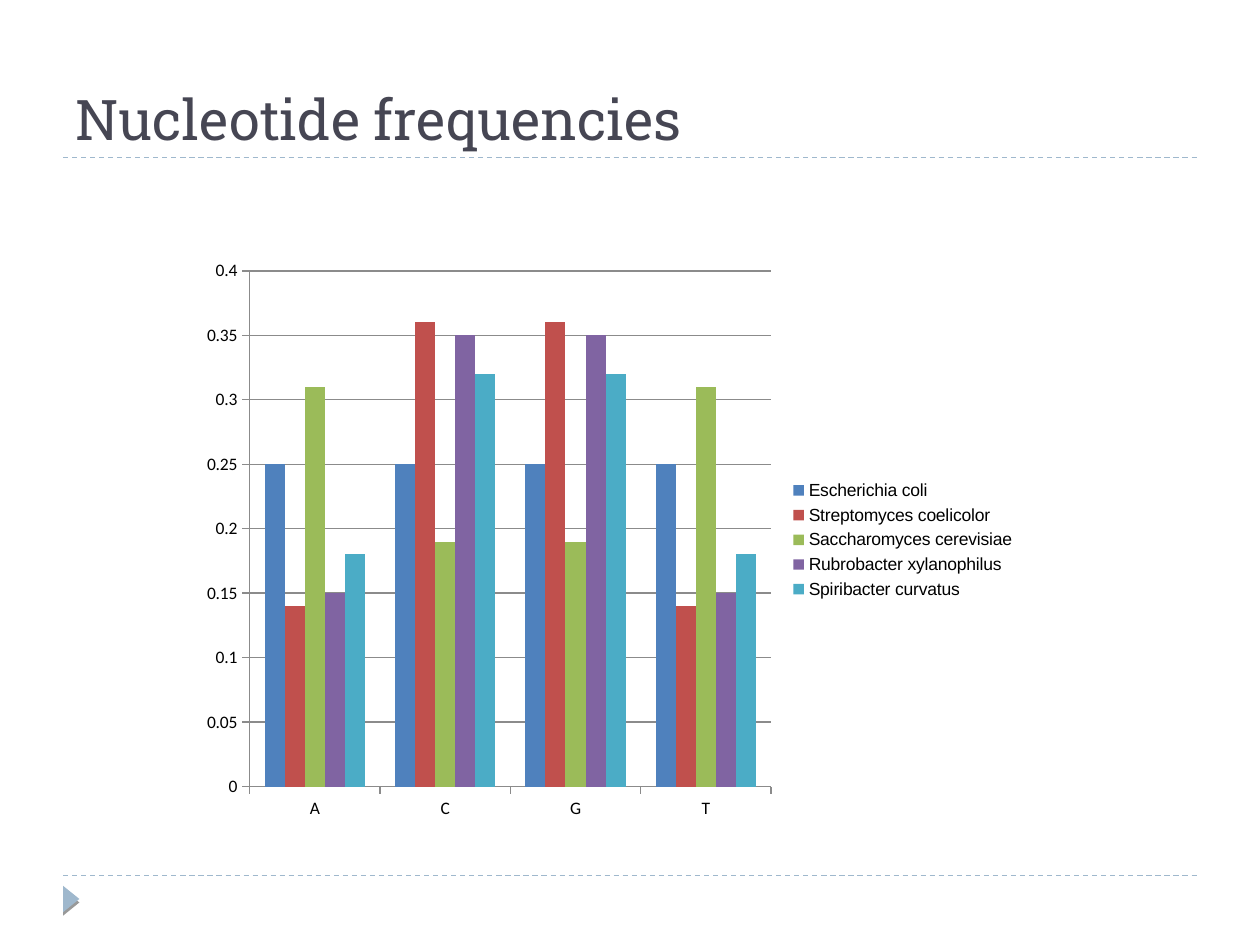
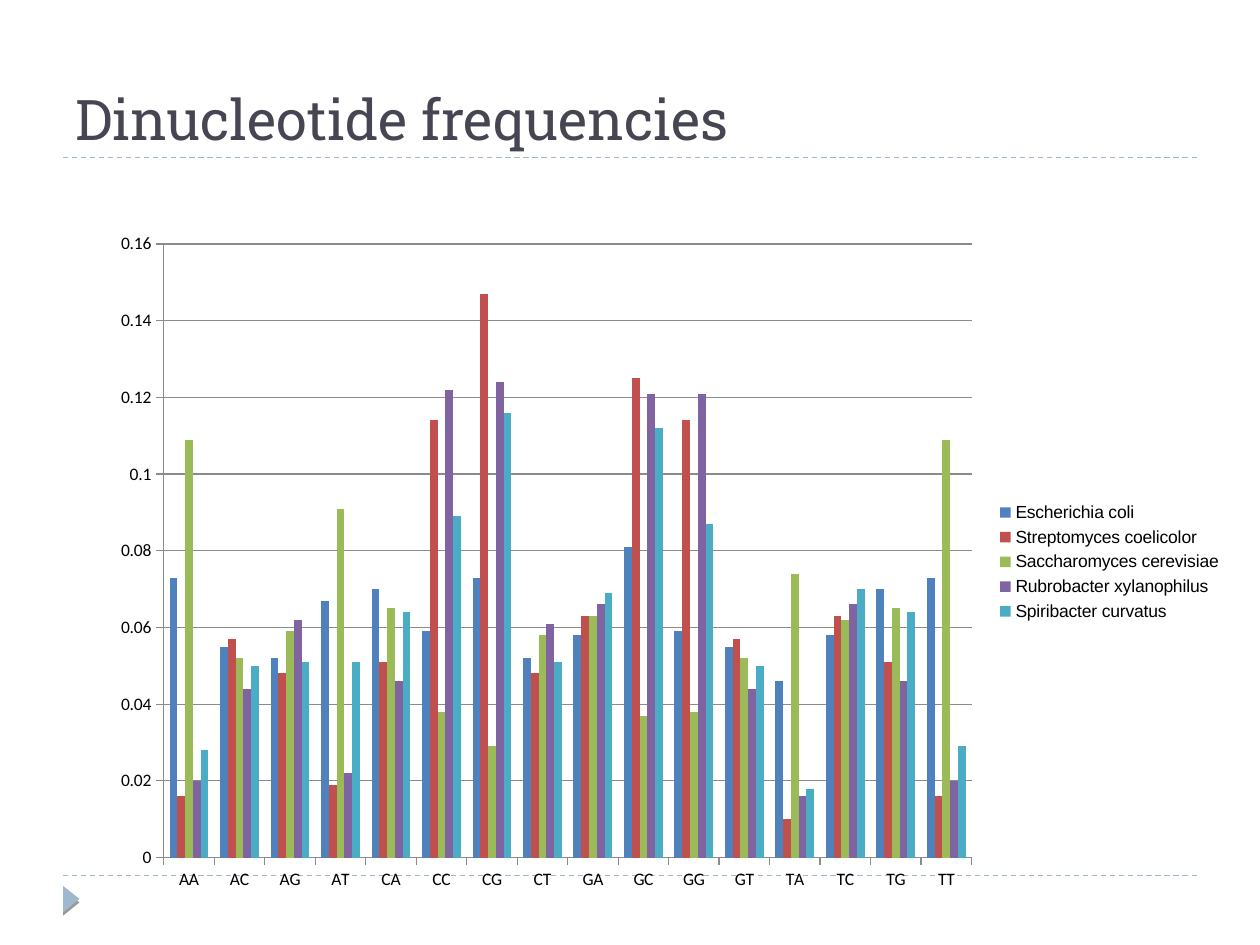
from lxml.etree import fromstring
from pptx import Presentation
from pptx.chart.data import CategoryChartData as ChartData
from pptx.dml.color import RGBColor
from pptx.enum.chart import XL_CHART_TYPE as Kind, XL_LEGEND_POSITION as Place
from pptx.enum.chart import XL_TICK_MARK as Tick
from pptx.enum.dml import MSO_LINE as Dash
from pptx.enum.shapes import MSO_CONNECTOR as Link, MSO_SHAPE as Form
from pptx.enum.text import MSO_ANCHOR as Anchor
from pptx.oxml.ns import nsdecls
from pptx.util import Inches, Pt

# The slide is a grid of 100 columns by 75 rows of square cells
COLS, ROWS = 100, 75
CELL = Inches(10) / COLS
LEFT, RIGHT, TOP, FOOT = 5, 95, 12.5, 69.5

INK, ACCENT, GREY, BLACK = "464653", "9FB8CD", "8B8B8B", "000000"
SPECIES = {
    "Escherichia coli": "4F81BD",
    "Streptomyces coelicolor": "C0504D",
    "Saccharomyces cerevisiae": "9BBB59",
    "Rubrobacter xylanophilus": "8064A2",
    "Spiribacter curvatus": "4BACC6",
}

BASES = "ACGT"
SINGLE = [
    [0.25, 0.25, 0.25, 0.25],
    [0.14, 0.36, 0.36, 0.14],
    [0.31, 0.19, 0.19, 0.31],
    [0.15, 0.35, 0.35, 0.15],
    [0.18, 0.32, 0.32, 0.18],
]
DOUBLE = [
    [0.073, 0.055, 0.052, 0.067, 0.07, 0.059, 0.073, 0.052,
     0.058, 0.081, 0.059, 0.055, 0.046, 0.058, 0.07, 0.073],
    [0.016, 0.057, 0.048, 0.019, 0.051, 0.114, 0.147, 0.048,
     0.063, 0.125, 0.114, 0.057, 0.01, 0.063, 0.051, 0.016],
    [0.109, 0.052, 0.059, 0.091, 0.065, 0.038, 0.029, 0.058,
     0.063, 0.037, 0.038, 0.052, 0.074, 0.062, 0.065, 0.109],
    [0.02, 0.044, 0.062, 0.022, 0.046, 0.122, 0.124, 0.061,
     0.066, 0.121, 0.121, 0.044, 0.016, 0.066, 0.046, 0.02],
    [0.028, 0.05, 0.051, 0.051, 0.064, 0.089, 0.116, 0.051,
     0.069, 0.112, 0.087, 0.05, 0.018, 0.07, 0.064, 0.029],
]
# title, categories, values, chart box in cells, axis top, axis step
PAGES = [
    ("Nucleotide frequencies", list(BASES), SINGLE,
     (15.1, 19.8, 66.5, 46.1), 0.4, 0.05),
    ("Dinucleotide frequencies", [a + b for a in BASES for b in BASES], DOUBLE,
     (7.8, 17.5, 90.2, 54.2), 0.16, 0.02),
]

SHADOW = f"""<a:effectLst {nsdecls("a")}>
  <a:outerShdw dist="25400" dir="5400000" rotWithShape="0">
    <a:srgbClr val="{BLACK}"><a:alpha val="40000"/></a:srgbClr>
  </a:outerShdw></a:effectLst>"""
NO_SHADOW = f'<a:effectLst {nsdecls("a")}/>'
CLEAR = f'<c:spPr {nsdecls("c", "a")}><a:noFill/><a:ln><a:noFill/></a:ln></c:spPr>'


def cells(*sizes):
    return [round(n * CELL) for n in sizes]


def paint(part, color):
    """Set a solid colour on a fill, or a plain colour on a font."""
    if hasattr(part, "solid"):
        part.solid()
        part = part.fore_color
    else:
        part = part.color
    part.rgb = RGBColor.from_string(color)


deck = Presentation()
deck.slide_width, deck.slide_height = cells(COLS, ROWS)

for title, cats, table, box, peak, step in PAGES:
    slide = deck.slides.add_slide(deck.slide_layouts[6])
    shapes = slide.shapes

    # Dashed rules and the footer arrow
    for row in (FOOT, TOP):
        rule = shapes.add_connector(Link.STRAIGHT, *cells(LEFT, row, RIGHT, row))
        paint(rule.line.fill, ACCENT)
        rule.line.width = Pt(0.75)
        rule.line.dash_style = Dash.DASH
        rule._element.spPr.append(fromstring(NO_SHADOW))
    arrow = shapes.add_shape(Form.ISOSCELES_TRIANGLE, *cells(4.6, 70.7, 2.1, 1.3))
    arrow.rotation = 90
    paint(arrow.fill, ACCENT)
    arrow.line.fill.background()
    arrow._element.spPr.append(fromstring(SHADOW))

    # Title
    frame = shapes.add_textbox(*cells(LEFT, 1.7, RIGHT - LEFT, 10.8)).text_frame
    frame.word_wrap = True
    frame.vertical_anchor = Anchor.BOTTOM
    run = frame.paragraphs[0].add_run()
    run.text = title
    run.font.name, run.font.size = "Roboto Slab", Pt(32)
    paint(run.font, INK)

    # Column chart
    data = ChartData()
    data.categories = cats
    for name, vals in zip(SPECIES, table):
        data.add_series(name, vals)
    chart = shapes.add_chart(Kind.COLUMN_CLUSTERED, *cells(*box), data).chart
    chart.has_title = False
    chart.has_legend = True
    chart.legend.position = Place.RIGHT
    chart.legend.include_in_layout = False
    chart.element.chart.addnext(fromstring(CLEAR))

    plot = chart.plots[0]
    plot.gap_width, plot.overlap = 150, 0
    plot.vary_by_categories = False
    for series, color in zip(plot.series, SPECIES.values()):
        paint(series.format.fill, color)
        series.invert_if_negative = False

    x, y = chart.category_axis, chart.value_axis
    y.minimum_scale, y.maximum_scale, y.major_unit = 0, peak, step
    y.has_major_gridlines = True
    y.tick_labels.number_format = "General"
    y.tick_labels.number_format_is_linked = False
    for axis in (x, y):
        axis.major_tick_mark, axis.minor_tick_mark = Tick.OUTSIDE, Tick.NONE
    for part in (x, y, y.major_gridlines):
        paint(part.format.line.fill, GREY)
        part.format.line.width = Pt(0.75)

    fonts = [(chart.font, "Arial"), (chart.legend.font, "Arial"),
             (x.tick_labels.font, "Calibri"), (y.tick_labels.font, "Calibri")]
    for font, face in fonts:
        font.name, font.size = face, Pt(10)
        paint(font, BLACK)

deck.save("out.pptx")
